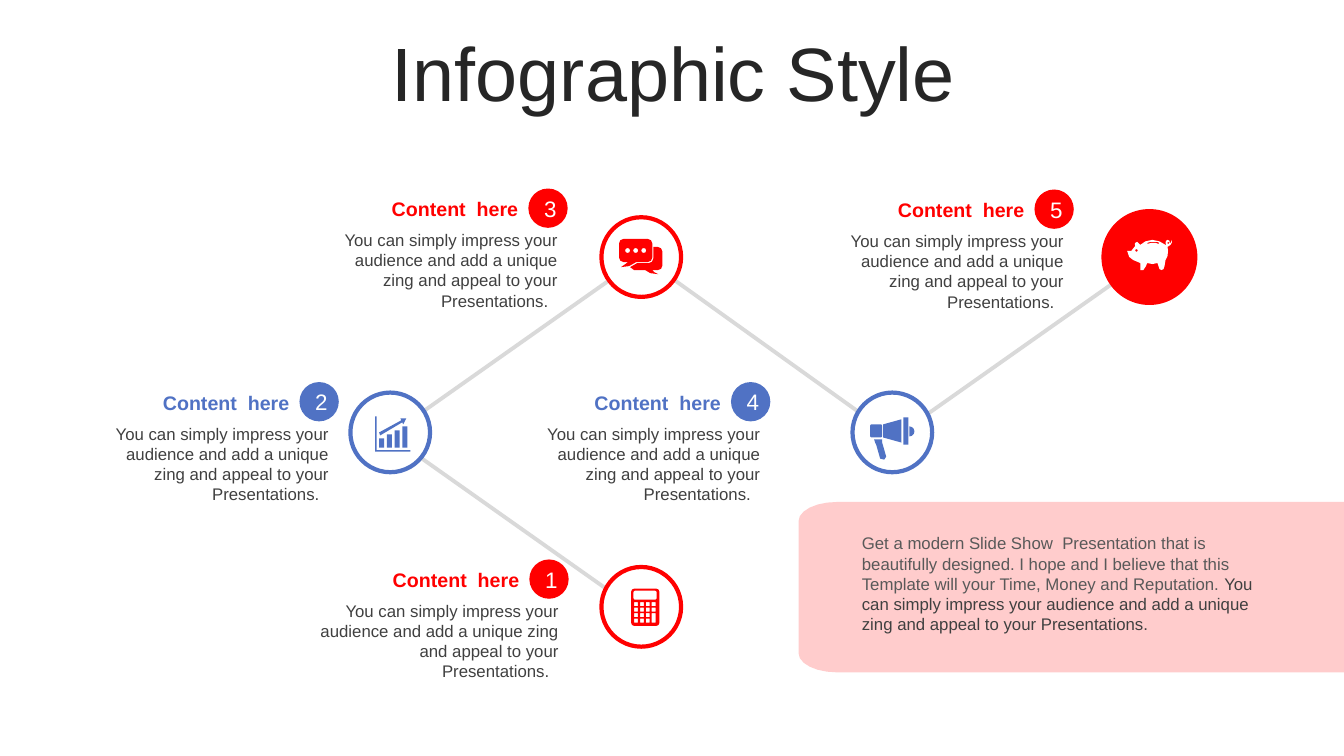
import math
import pptx
import pptx.util
import pptx.dml.color
import pptx.enum.shapes
import pptx.enum.text

Inch = pptx.util.Inches
ALIGN = pptx.enum.text.PP_ALIGN
ANCHOR = pptx.enum.text.MSO_ANCHOR
OVAL = pptx.enum.shapes.MSO_SHAPE.OVAL
WIDE, HIGH = 13.33, 7.5
RED, BLUE, WHITE, GREY, DARK = "FF0000", "5072C4", "FFFFFF", "D9D9D9", "404040"
COLS = [3.87, 6.36, 8.85, 11.4]
ROWS = [2.55, 4.29, 6.02]
PITCH = "You can simply impress your audience and add a unique zing and appeal to your Presentations."
LEAD = ("Get a modern Slide Show  Presentation that is beautifully designed. I hope and I believe "
        "that this Template will your Time, Money and Reputation. ")


def tint(code):
    return pptx.dml.color.RGBColor.from_string(code)


def style(font, code, **form):
    for key, val in {"name": "Arial", **form}.items():
        setattr(font, key, val)
    font.color.rgb = tint(code)


def paint(shape, fill=None, line=None, width=3):
    shape.shadow.inherit = False
    if fill:
        shape.fill.solid()
        shape.fill.fore_color.rgb = tint(fill)
    else:
        shape.fill.background()
    if line:
        shape.line.color.rgb = tint(line)
        shape.line.width = pptx.util.Pt(width)
    else:
        shape.line.fill.background()


def write(shape, runs, align, anchor, **form):
    frame = shape.text_frame
    frame.word_wrap = True
    frame.vertical_anchor = anchor
    para = frame.paragraphs[0]
    para.alignment = align
    for text, code in runs:
        run = para.add_run()
        run.text = text
        style(run.font, code, **form)
    return para


def label(slide, box, runs, align, anchor, **form):
    write(slide.shapes.add_textbox(*map(Inch, box)), runs, align, anchor, **form)


def disc(slide, x, y, size, **look):
    shape = slide.shapes.add_shape(OVAL, *map(Inch, (x, y, size, size)))
    paint(shape, **look)
    return shape


def trace(slide, x, y, loops, unit=0.01, close=True, **look):
    pen = None
    for loop in loops:
        dots = [(Inch(x + a * unit), Inch(y + b * unit)) for a, b in loop]
        if pen is None:
            pen = slide.shapes.build_freeform(*dots[0])
        else:
            pen.move_to(*dots[0])
        pen.add_line_segments(dots[1:], close=close)
    paint(pen.convert_to_shape(), **look)


def arc(x, y, rx, ry, start, turn=90, steps=2):
    angles = [math.radians(start + turn * i / steps) for i in range(steps + 1)]
    return [(x + rx * math.cos(t), y + ry * math.sin(t)) for t in angles]


def bar(x, y, w, h):
    return [(x, y), (x + w, y), (x + w, y + h), (x, y + h)]


def pad(x, y, w, h, r, tail=()):
    return (arc(x + r, y + r, r, r, 180) + arc(x + w - r, y + r, r, r, 270)
            + arc(x + w - r, y + h - r, r, r, 0) + list(tail) + arc(x + r, y + h - r, r, r, 90))


def dot(x, y, r):
    return arc(x, y, r, r, 0, 315, 7)


def graph():
    bars = [bar(4 + 7.7 * i, 22 - 4 * i, 5, 9 + 4 * i) for i in range(4)]
    arrow = [(25, 2), (31, 2), (28, 8), (27, 6), (5, 19), (4, 16), (26, 4)]
    axis = [(0, 0), (1.5, 0), (1.5, 33.5), (35, 33.5), (35, 35), (0, 35)]
    return bars + [arrow, axis]


def adder():
    keys = [bar(3 + 5.8 * c, 13.3 + 5.5 * r, 3.8, 9.5 if (c, r) == (3, 2) else 4)
            for c in range(4) for r in range(4) if (c, r) != (3, 3)]
    return [pad(0, 0, 28, 37, 3), pad(2.3, 2, 23, 9, 1.5)] + keys


def chat():
    front = pad(0, 0, 33, 23, 4.5, [(17, 23), (10, 27), (2, 28), (9, 23)])
    back = ([(34, 8)] + arc(38.5, 12.5, 4.5, 4.5, 270) + arc(38.5, 26.5, 4.5, 4.5, 0)
            + [(33, 31), (35, 33), (39, 35), (31, 34), (26, 31), (15, 31), (11, 28), (18, 24)]
            + arc(29.5, 19.5, 4.5, 4.5, 90, -90))
    return [front, back] + [dot(8.5 + 8 * i, 11.5, 2.5) for i in range(3)]


def horn():
    grip = [(4, 22), (12, 22), (12, 25), (16, 39), (14, 42), (10, 41), (6, 27), (5, 25)]
    cone = [(31, 2), (31, 25), (13, 20), (13, 7)]
    return [grip, cone, pad(0, 7, 12, 13, 1.5), bar(33, 0, 5, 27), arc(39, 14, 5, 5, -90, 180, 6)]


def pig():
    body = [(25, 0), (32, 1.5), (38, 5), (39, 6), (38, 3), (38.5, 1), (40, 0), (42, 1),
            (42, 3.5), (43.5, 2.5), (44, 0), (44.3, 2.5), (43, 5), (40, 7), (40.5, 11),
            (40, 16), (38, 20), (37, 26), (36, 29), (34, 30), (32, 29), (30, 23), (25, 24),
            (20, 23), (18, 27), (16, 30), (13, 30), (13, 23), (6, 20), (2, 17), (0, 11),
            (4, 11), (8, 6), (7.5, 4), (8, 3), (10, 2), (13, 5), (18, 1.5)]
    slot = [(20, 3), (23, 2), (30, 2), (32, 3), (31, 4), (28, 3), (24, 3), (20, 4)]
    return [body, slot, dot(9.2, 10.5, 1.3), bar(40, 2, 1.4, 2)]


def head(slide, box):
    title = slide.shapes.title
    for key, val in zip(("left", "top", "width", "height"), box):
        setattr(title, key, Inch(val))
    para = write(title, [("Infographic Style", "262626")], ALIGN.CENTER, ANCHOR.MIDDLE,
                 size=pptx.util.Pt(54))
    para.line_spacing = 0.9


def node(slide, col, row, size, fill, line):
    disc(slide, COLS[col] - size / 2, ROWS[row] - size / 2, size, fill=fill, line=line)


def step(slide, x, y, w, mark, code):
    badge = 0.39
    edge = x + w - badge
    label(slide, (x, y + 0.03, w - badge, 0.34), [("Content  here", code)], ALIGN.RIGHT,
          ANCHOR.MIDDLE, size=pptx.util.Pt(14), bold=True)
    label(slide, (x, y + 0.36, w, 0.91), [(PITCH + "  ", DARK)], ALIGN.RIGHT, ANCHOR.TOP,
          size=pptx.util.Pt(12))
    write(disc(slide, edge, y, badge, fill=code), [(mark, WHITE)], ALIGN.CENTER, ANCHOR.MIDDLE,
          size=pptx.util.Pt(16))


def panel(slide, x, y, w, h):
    rx, ry = 0.38, 0.19
    edge = [(w, 0), (w, h)] + arc(rx, h - ry, rx, ry, 90, 90, 6) + arc(rx, ry, rx, ry, 180, 90, 6)
    trace(slide, x, y, [edge], unit=1, fill="FFCCCC")
    label(slide, (x + 0.53, y + 0.26, 4.24, 1.11), [(LEAD, "595959"), (PITCH, DARK)],
          ALIGN.LEFT, ANCHOR.TOP, size=pptx.util.Pt(12))


def main():
    deck = pptx.Presentation()
    deck.slide_width, deck.slide_height = Inch(WIDE), Inch(HIGH)
    slide = deck.slides.add_slide(deck.slide_layouts[5])
    head(slide, (0.35, 0.37, 12.66, 0.79))
    route = [(6.38, 6.1), (3.86, 4.32), (6.37, 2.55), (8.87, 4.34), (11.38, 2.57)]
    trace(slide, 0, 0, [route], unit=1, close=False, line=GREY, width=2.75)
    for col, row, size, fill, line in [
            (1, 0, 0.79, WHITE, RED), (0, 1, 0.79, WHITE, BLUE), (1, 2, 0.79, WHITE, RED),
            (2, 1, 0.79, WHITE, BLUE), (3, 0, 0.91, RED, RED)]:
        node(slide, col, row, size, fill, line)
    for x, y, w, mark, code in [
            (0.82, 3.79, 2.54, "2", BLUE), (3.06, 5.55, 2.58, "1", RED),
            (3.18, 1.87, 2.45, "3", RED), (5.1, 3.79, 2.54, "4", BLUE),
            (8.19, 1.88, 2.46, "5", RED)]:
        step(slide, x, y, w, mark, code)
    panel(slide, 7.92, 4.98, WIDE - 7.92, 1.69)
    for x, y, icon, code in [
            (3.72, 4.13, graph, BLUE), (6.26, 5.84, adder, RED), (6.14, 2.37, chat, RED),
            (8.63, 4.14, horn, BLUE), (11.18, 2.38, pig, WHITE)]:
        trace(slide, x, y, icon(), fill=code)
    deck.save("out.pptx")


if __name__ == "__main__":
    main()
